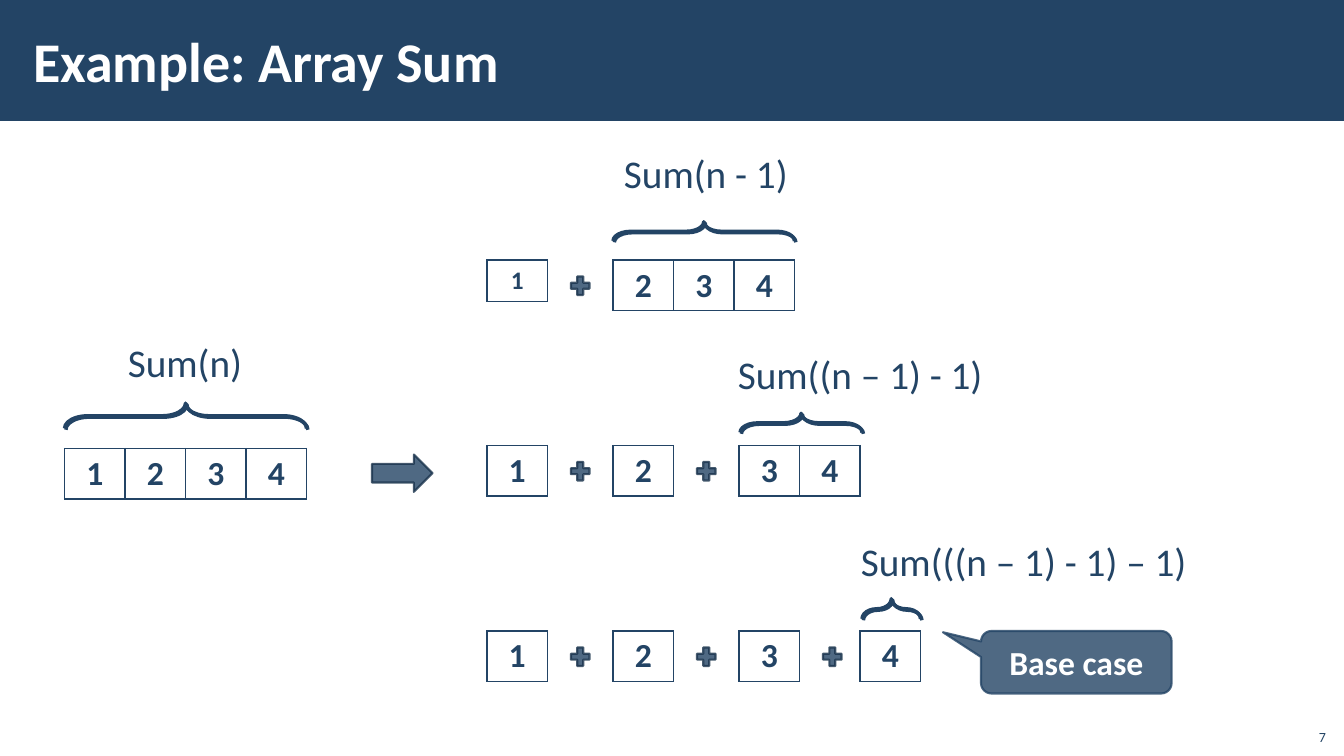
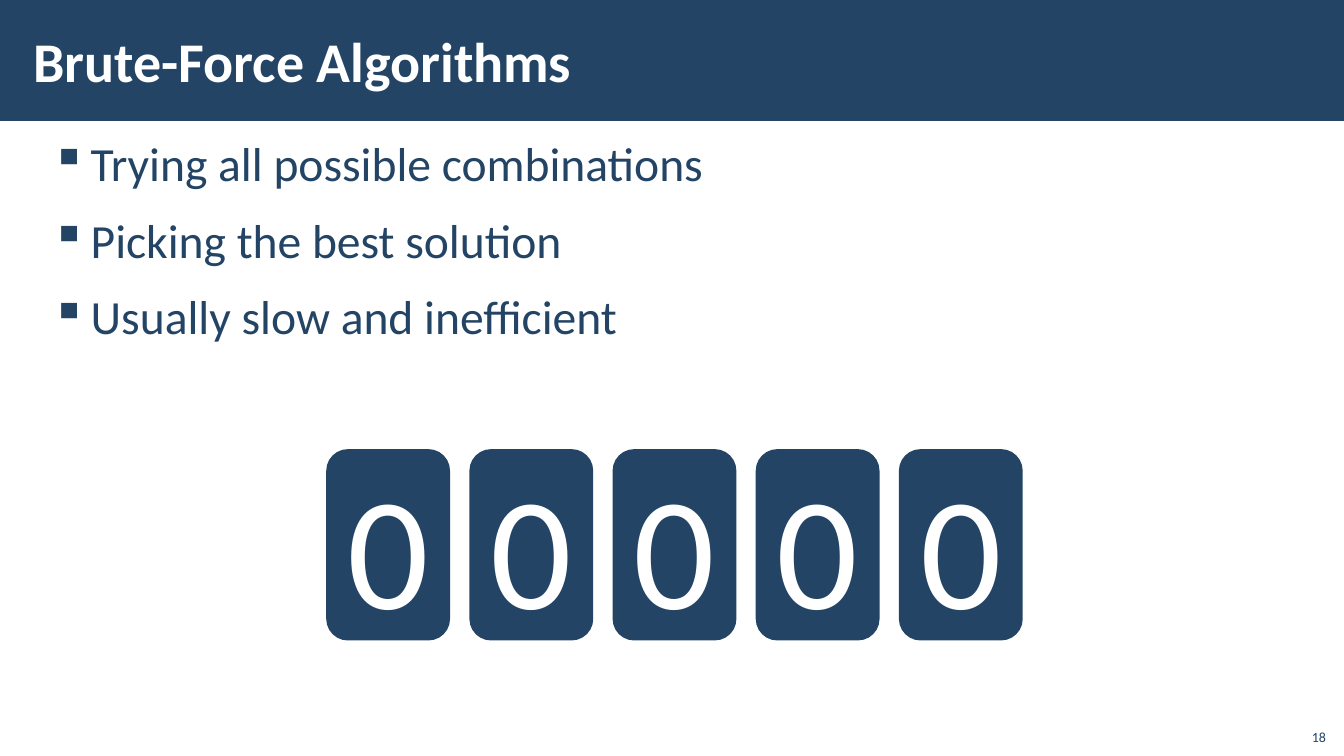
from dataclasses import dataclass

from lxml import etree
from pptx import Presentation
from pptx import util as u
from pptx.dml.color import RGBColor
from pptx.enum import shapes, text
from pptx.oxml import ns

COLORS = {"navy": "234465", "edge": "1A334C", "white": "FFFFFF"}
FONT = "Calibri"
CELL_WIDTH, CELL_HEIGHT = 0.6, 0.41
STEP_LEFT, STEP_PITCH = 4.83, 1.25
PLUS_OFFSET, PLUS_SIZE = (0.8, 0.13), 0.25
DIGIT_LEFT, DIGIT_PITCH = 3.25, 1.42

Box = tuple[float, float, float, float]


@dataclass(frozen=True)
class Style:
    size: float
    color: str = "navy"
    bold: bool = False
    align: text.PP_ALIGN = text.PP_ALIGN.LEFT
    anchor: text.MSO_ANCHOR = text.MSO_ANCHOR.TOP


@dataclass(frozen=True)
class Call:
    label: str
    label_box: Box
    brace: Box
    rest: str
    left: float
    top: float


@dataclass(frozen=True)
class Step:
    taken: str
    call: Call
    taken_size: float = 24


CENTER, MIDDLE = text.PP_ALIGN.CENTER, text.MSO_ANCHOR.MIDDLE
TITLE = Style(40, "white", True, anchor=MIDDLE)
CALL_LABEL = Style(28)
BULLET = Style(34)
CALLOUT = Style(24, "white", True, CENTER, MIDDLE)
DIGIT = Style(115, "white", align=CENTER, anchor=MIDDLE)
PAGE = Style(10, align=text.PP_ALIGN.RIGHT, anchor=text.MSO_ANCHOR.BOTTOM)

WHOLE = Call("Sum(n)", (1.17, 3.31, 1.35, 0.57), (0.64, 4.0, 2.4, 0.25), "1234", 0.64, 4.45)
STEPS = [
    Step("1", Call("Sum(n - 1)", (6.09, 1.43, 1.85, 0.57),
                   (6.08, 2.2, 1.8, 0.19), "234", 6.08, 2.58), 18),
    Step("12", Call("Sum((n – 1) - 1)", (7.22, 3.43, 2.66, 0.57),
                    (7.34, 4.1, 1.21, 0.19), "34", 7.33, 4.42)),
    Step("123", Call("Sum(((n – 1) - 1) – 1)", (8.44, 5.28, 3.59, 0.57),
                     (8.55, 5.94, 0.58, 0.2), "4", 8.53, 6.26)),
]
TRAITS = ["Trying all possible combinations", "Picking the best solution",
          "Usually slow and inefficient"]


def rgb(name: str) -> RGBColor:
    return RGBColor.from_string(COLORS[name])


def inches(box: Box) -> list[u.Length]:
    return [u.Inches(value) for value in box]


def write(frame, lines: list[str], style: Style) -> None:
    frame.vertical_anchor = style.anchor
    frame.text = "\n".join(lines)
    for paragraph in frame.paragraphs:
        paragraph.alignment = style.align
        font = paragraph.font
        font.name, font.size, font.bold = FONT, u.Pt(style.size), style.bold
        font.color.rgb = rgb(style.color)


def add_text(slide, lines: list[str], box: Box, style: Style,
             wrap: bool = True, padded: bool = False):
    frame = slide.shapes.add_textbox(*inches(box)).text_frame
    frame.word_wrap = wrap
    if padded:
        frame.margin_left = frame.margin_right = u.Inches(0.12)
        frame.margin_top = frame.margin_bottom = u.Inches(0.04)
    write(frame, lines, style)
    return frame


def add_figure(slide, kind: shapes.MSO_SHAPE, box: Box, edge: str | None = None,
               width: float = 1.5, opacity: int = 100):
    figure = slide.shapes.add_shape(kind, *inches(box))
    figure.shadow.inherit = False
    figure.fill.solid()
    figure.fill.fore_color.rgb = rgb("navy")
    if edge:
        figure.line.color.rgb = rgb(edge)
        figure.line.width = u.Pt(width)
    else:
        figure.line.fill.background()
    if opacity < 100:
        for color in figure.element.spPr.iter(ns.qn("a:srgbClr")):
            etree.SubElement(color, ns.qn("a:alpha"), val=str(opacity * 1000))
    return figure


def add_brace(slide, box: Box) -> None:
    left, top, span, depth = box
    upright = (left + (span - depth) / 2, top - (span - depth) / 2, depth, span)
    brace = add_figure(slide, shapes.MSO_SHAPE.LEFT_BRACE, upright, "navy", 2.5)
    brace.fill.background()
    brace.rotation = 90
    brace.adjustments[0] = 0.92
    effects = brace.element.spPr.find(ns.qn("a:effectLst"))
    shadow = etree.SubElement(effects, ns.qn("a:outerShdw"), dist=str(u.Pt(1.4)),
                              dir="2700000", algn="ctr", rotWithShape="0")
    etree.SubElement(shadow, ns.qn("a:srgbClr"), val=COLORS["navy"])


def add_borders(cell) -> None:
    properties = cell._tc.get_or_add_tcPr()
    for position, side in enumerate(("lnL", "lnR", "lnT", "lnB")):
        border = etree.Element(ns.qn(f"a:{side}"), w=str(u.Pt(1)))
        fill = etree.SubElement(border, ns.qn("a:solidFill"))
        etree.SubElement(fill, ns.qn("a:srgbClr"), val=COLORS["navy"])
        properties.insert(position, border)


def add_array(slide, values: str, left: float, top: float, size: float = 24) -> None:
    box = (left, top, CELL_WIDTH * len(values), CELL_HEIGHT)
    table = slide.shapes.add_table(1, len(values), *inches(box)).table
    table.first_row = table.horz_banding = False
    for column, value in enumerate(values):
        table.columns[column].width = u.Inches(CELL_WIDTH)
        cell = table.cell(0, column)
        cell.fill.background()
        add_borders(cell)
        write(cell.text_frame, [value], Style(size, bold=True, align=CENTER))


def add_call(slide, call: Call) -> None:
    add_array(slide, call.rest, call.left, call.top)
    add_brace(slide, call.brace)
    add_text(slide, [call.label], call.label_box, CALL_LABEL, wrap=False)


def add_step(slide, step: Step) -> None:
    top = step.call.top
    for index, value in enumerate(step.taken):
        left = STEP_LEFT + index * STEP_PITCH
        add_array(slide, value, left, top, step.taken_size)
        plus = (left + PLUS_OFFSET[0], top + PLUS_OFFSET[1], PLUS_SIZE, PLUS_SIZE)
        add_figure(slide, shapes.MSO_SHAPE.MATH_PLUS, plus, "edge", opacity=80)
    add_call(slide, step.call)


def add_bullets(slide, lines: list[str], box: Box) -> None:
    frame = add_text(slide, lines, box, BULLET, padded=True)
    for paragraph in frame.paragraphs:
        paragraph.line_spacing = 1.05
        paragraph.space_before = paragraph.space_after = u.Pt(6)
        properties = paragraph._p.get_or_add_pPr()
        indent = u.Inches(0.39)
        properties.set("marL", str(indent))
        properties.set("indent", str(-indent))
        marker = etree.Element(ns.qn("a:buChar"), char="▪")
        properties.insert(list(properties).index(properties.find(ns.qn("a:defRPr"))), marker)


def add_slide(deck, title: str, page: int):
    slide = deck.slides.add_slide(deck.slide_layouts[6])
    add_figure(slide, shapes.MSO_SHAPE.RECTANGLE, (0, 0, 13.33, 1.2))
    add_text(slide, [title], (0.21, 0.11, 10.63, 0.97), TITLE, padded=True)
    add_text(slide, [str(page)], (12.85, 7.12, 0.4, 0.32), PAGE)
    return slide


def build_array_sum(deck) -> None:
    slide = add_slide(deck, "Example: Array Sum", 7)
    add_call(slide, WHOLE)
    add_figure(slide, shapes.MSO_SHAPE.RIGHT_ARROW, (3.69, 4.51, 0.6, 0.37), "edge", opacity=80)
    for step in STEPS:
        add_step(slide, step)
    base_case = add_figure(slide, shapes.MSO_SHAPE.ROUNDED_RECTANGULAR_CALLOUT,
                           (9.73, 6.26, 1.89, 0.62), "navy", opacity=80)
    base_case.adjustments[0], base_case.adjustments[1] = -0.7, -0.48
    write(base_case.text_frame, ["Base case"], CALLOUT)


def build_brute_force(deck) -> None:
    slide = add_slide(deck, "Brute-Force Algorithms", 18)
    add_bullets(slide, TRAITS, (0.39, 1.26, 7.36, 2.66))
    for index, value in enumerate("00000"):
        box = (DIGIT_LEFT + index * DIGIT_PITCH, 4.47, 1.2, 1.87)
        digit = add_figure(slide, shapes.MSO_SHAPE.ROUNDED_RECTANGLE, box, "navy", 2)
        write(digit.text_frame, [value], DIGIT)


deck = Presentation()
deck.slide_width, deck.slide_height = u.Inches(13.33), u.Inches(7.5)
build_array_sum(deck)
build_brute_force(deck)
deck.save("out.pptx")
